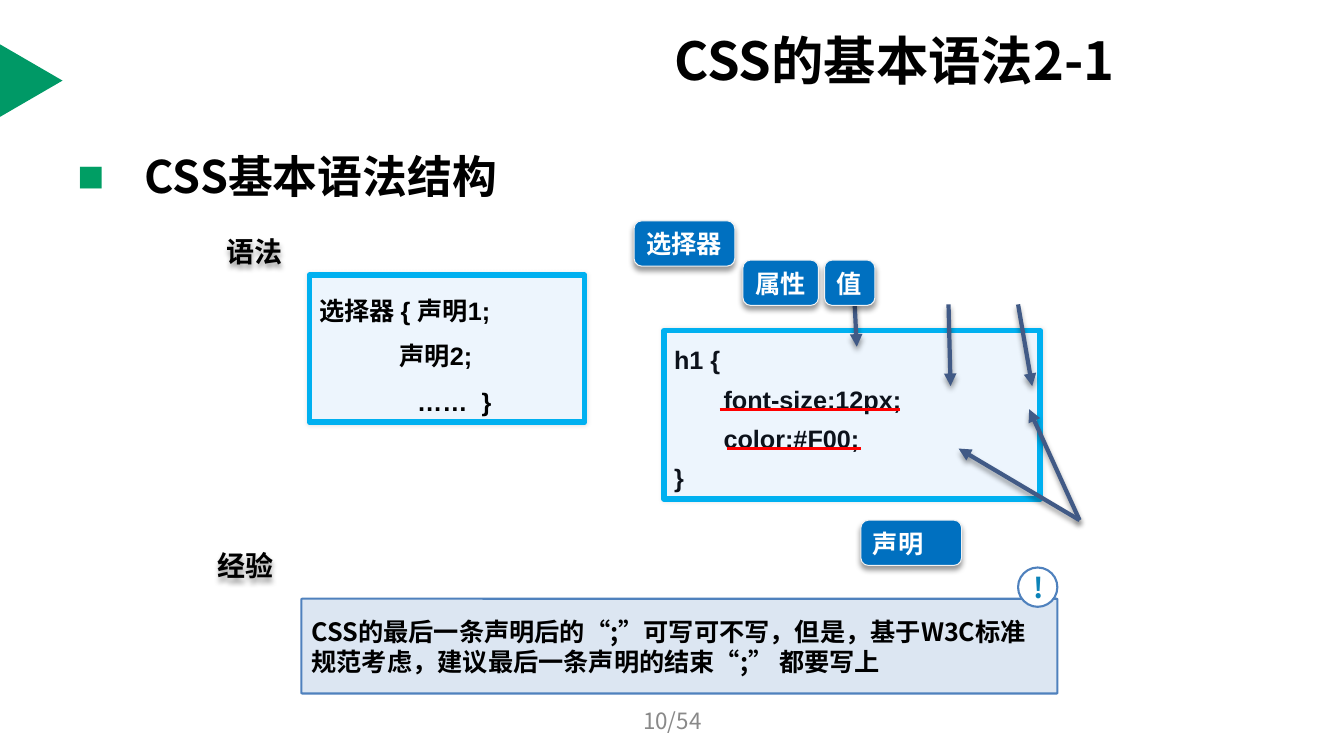
from dataclasses import dataclass

from lxml import etree
from pptx import Presentation
from pptx.dml.color import RGBColor
from pptx.enum.shapes import MSO_CONNECTOR, MSO_SHAPE
from pptx.enum.text import MSO_ANCHOR, MSO_AUTO_SIZE, PP_ALIGN
from pptx.oxml.ns import qn
from pptx.util import Inches, Pt

STRAIGHT = MSO_CONNECTOR.STRAIGHT
ROUND, CALLOUT = MSO_SHAPE.ROUNDED_RECTANGLE, MSO_SHAPE.ROUNDED_RECTANGULAR_CALLOUT
WEDGE, OVAL = MSO_SHAPE.ISOSCELES_TRIANGLE, MSO_SHAPE.OVAL
TOP, MIDDLE, BOTTOM = MSO_ANCHOR.TOP, MSO_ANCHOR.MIDDLE, MSO_ANCHOR.BOTTOM
LEFT, CENTER = PP_ALIGN.LEFT, PP_ALIGN.CENTER
FIXED = MSO_AUTO_SIZE.NONE

COLS, ROWS = 40, 30
GLOW = (10, 3, 0, 0)  # opacity %, blur pt, distance pt, angle
DROP = (40, 4, 3, 90)


@dataclass(frozen=True)
class Theme:
    sans: str = "Noto Sans CJK SC"
    code: str = "Arial"
    black: str = "000000"
    white: str = "FFFFFF"
    ink: str = "0D121B"
    gray: str = "898989"
    green: str = "009966"
    bullet: str = "009E64"
    pale: str = "EDF5FD"
    cyan: str = "00B0F0"
    blue: str = "0070C0"
    rim: str = "F2F2F2"
    navy: str = "415A86"
    red: str = "FF0000"
    mist: str = "DCE6F2"
    steel: str = "4F81BD"
    teal: str = "0C83B8"
    title: float = 37.4
    head: float = 32
    label: float = 20
    text: float = 18
    page: float = 16


THEME = Theme()


def add(parent, tag, **attrs):
    node = etree.SubElement(parent, qn(tag))
    for key, value in attrs.items():
        node.set(key, str(value))
    return node


def write(shape, text, size=THEME.text, color=THEME.black, font=THEME.sans, bold=True,
          align=LEFT, anchor=MIDDLE, wrap=True, leading=None, tab=None, bullet=None):
    frame = shape.text_frame
    frame.auto_size, frame.word_wrap = FIXED, wrap
    frame.vertical_anchor = anchor
    for i, line in enumerate(text.split("\n")):
        para = frame.add_paragraph() if i else frame.paragraphs[0]
        para.alignment, para.space_before = align, Pt(0)
        if leading:
            para.line_spacing = leading
        props = para._p.get_or_add_pPr()
        if bullet:
            props.set("marL", str(Inches(0.67)))
            props.set("indent", str(-Inches(0.67)))
            add(add(props, "a:buClr"), "a:srgbClr", val=bullet)
            add(props, "a:buFont", typeface=THEME.code)
            add(props, "a:buChar", char="■")
        if tab:
            add(add(props, "a:tabLst"), "a:tab", pos=Inches(tab), algn="l")
        run = para.add_run()
        run.text = line
        run.font.size, run.font.bold, run.font.name = Pt(size), bold, font
        run.font.color.rgb = RGBColor.from_string(color)
        style = run._r.get_or_add_rPr()
        style.set("lang", "zh-CN")
        add(style, "a:ea", typeface=THEME.sans)


class Page:
    def __init__(self, deck, theme):
        self.theme = theme
        self.col, self.row = deck.slide_width / COLS, deck.slide_height / ROWS
        self.slide = deck.slides.add_slide(deck.slide_layouts[1])
        self.shapes = self.slide.shapes

    def grid(self, x, y):
        return round(x * self.col), round(y * self.row)

    def box(self, x, y, w, h):
        return *self.grid(x, y), *self.grid(w, h)

    def shade(self, shape, shadow):
        props = shape._element.spPr
        effect = props.find(qn("a:effectLst"))
        if effect is None:
            effect = add(props, "a:effectLst")
        if shadow:
            alpha, blur, dist, angle = shadow
            outer = add(effect, "a:outerShdw", blurRad=Pt(blur), dist=Pt(dist),
                        dir=angle * 60000, algn="ctr", rotWithShape=0)
            add(add(outer, "a:srgbClr", val=self.theme.black), "a:alpha", val=alpha * 1000)

    def holder(self, index, at, text, **style):
        shape = self.slide.placeholders[index]
        shape.left, shape.top, shape.width, shape.height = self.box(*at)
        write(shape, text, **style)

    def shape(self, kind, at, fill, line=None, width=1, adjust=(), shadow=None):
        shape = self.shapes.add_shape(kind, *self.box(*at))
        for i, value in enumerate(adjust):
            shape.adjustments[i] = value
        shape.fill.solid()
        shape.fill.fore_color.rgb = RGBColor.from_string(fill)
        if line:
            shape.line.color.rgb = RGBColor.from_string(line)
            shape.line.width = Pt(width)
        else:
            shape.line.fill.background()
        shape.shadow.inherit = False
        self.shade(shape, shadow)
        return shape

    def label(self, at, text, shadow=None, **style):
        shape = self.shapes.add_textbox(*self.box(*at))
        write(shape, text, **style)
        self.shade(shape, shadow)

    def panel(self, at, text, **style):
        shape = self.shape(ROUND, at, self.theme.pale, self.theme.cyan, 4, (0,), GLOW)
        write(shape, text, font=self.theme.code, anchor=TOP, **style)

    def tag(self, x, y, w, text):
        shape = self.shape(CALLOUT, (x, y, w, 1.8), self.theme.blue, self.theme.rim, 0.75,
                           (-0.5, 0, 0.17), DROP)
        write(shape, text, color=self.theme.white, font=self.theme.code, anchor=BOTTOM)

    def line(self, start, end, color, width, arrow=False):
        link = self.shapes.add_connector(STRAIGHT, *self.grid(*start), *self.grid(*end))
        link.line.color.rgb = RGBColor.from_string(color)
        link.line.width = Pt(width)
        if arrow:
            add(link.line._ln, "a:tailEnd", type="triangle")
        self.shade(link, DROP if arrow else None)


def main():
    deck = Presentation()
    deck.slide_width, deck.slide_height = Inches(13.33), Inches(7.5)
    t = THEME
    page = Page(deck, t)

    # Title and heading
    page.shape(WEDGE, (-0.15, 1.96, 2.16, 2.48), t.green).rotation = 90
    page.holder(0, (19.77, 1.24, 14.64, 2.28), "CSS的基本语法2-1", size=t.title)
    page.holder(1, (2, 5.72, 36, 21.08), "CSS基本语法结构", size=t.head,
                anchor=TOP, bullet=t.bullet)

    # Section labels
    for x, y, text in ((6.45, 9.08, "语法"), (6.18, 21.56, "经验")):
        page.label((x, y, 2.28, 1.76), text, DROP, size=t.label, wrap=False)

    # Syntax and sample rule
    page.panel((9.21, 10.92, 8.19, 5.84),
               "选择器 { 声明1;\n              声明2;\n              ……  }", leading=1.5)
    page.panel((19.77, 13.12, 11.19, 6.68), "h1 {\n\tfont-size:12px;\n\tcolor:#F00;\n}",
               color=t.ink, leading=1.3, tab=0.49)

    # Underlines and arrows
    for left, right, y in ((21.42, 26.79, 16.24), (21.63, 25.62, 17.8)):
        page.line((left, y), (right, y), t.red, 2)
    fork = (32.13, 20.64)
    for start, end in (((25.38, 10.56), (25.5, 13.76)), ((28.23, 12.08), (28.29, 15.32)),
                       ((30.3, 12.08), (30.72, 15.32)), (fork, (30.63, 16.24)),
                       (fork, (28.53, 17.8))):
        page.line(start, end, t.navy, 3, arrow=True)

    # Name tags
    for tag in ((18.87, 8.76, 3, "选择器"), (22.11, 10.32, 2.25, "属性"),
                (24.54, 10.32, 1.5, "值"), (25.62, 20.64, 3, "声明")):
        page.tag(*tag)

    # Advice note with badge
    note = page.shape(ROUND, (8.97, 23.76, 22.5, 3.76), t.mist, t.steel, 1.5, (0.01,))
    write(note, "CSS的最后一条声明后的“;”可写可不写，但是，基于W3C标准规范考虑，"
                "建议最后一条声明的结束“;” 都要写上")
    badge = page.shape(OVAL, (30.3, 22.52, 1.17, 1.56), t.white, t.steel, 1.5)
    write(badge, "!", size=t.label, color=t.teal, align=CENTER)

    # Page number
    page.label((13.68, 27.8, 12.66, 1.6), "10/54", size=t.page, color=t.gray,
               bold=False, align=CENTER)

    deck.save("out.pptx")


if __name__ == "__main__":
    main()
